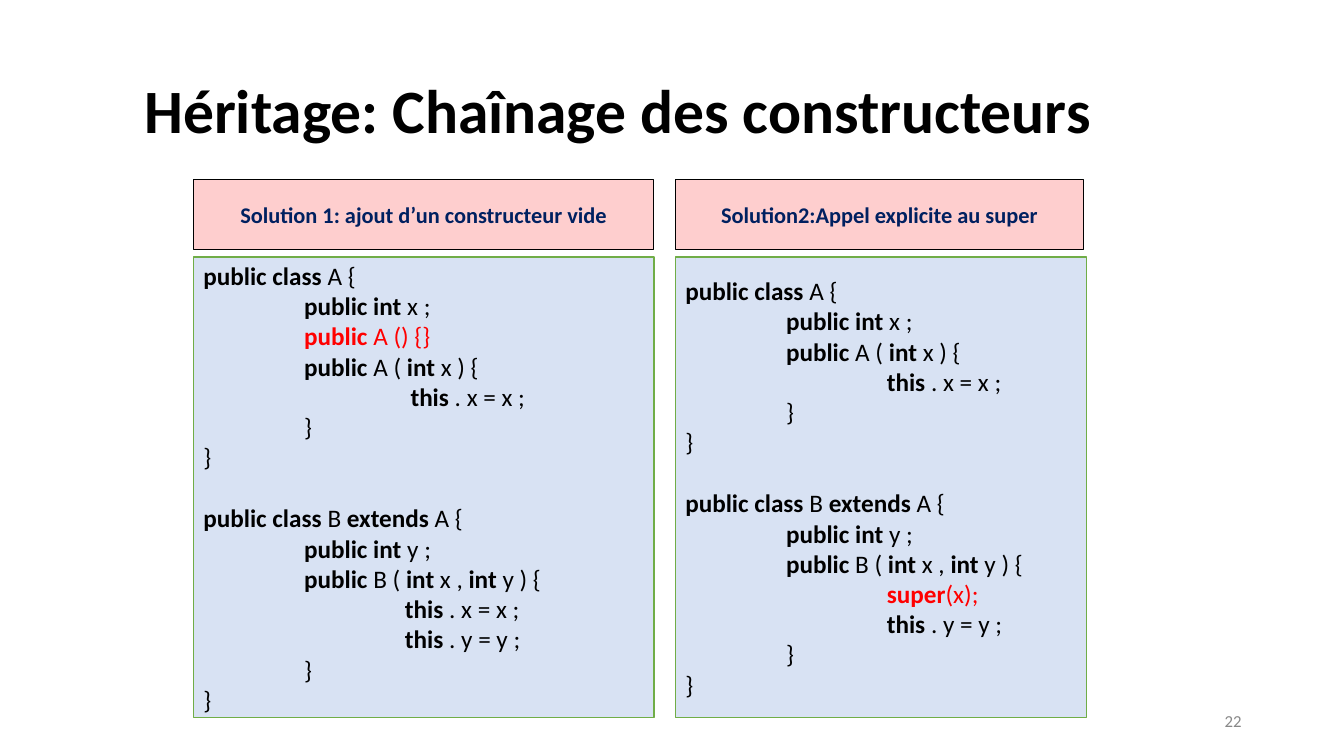
from pptx import Presentation
from pptx.dml.color import RGBColor
from pptx.enum.shapes import MSO_SHAPE
from pptx.enum.text import MSO_ANCHOR, PP_ALIGN
from pptx.util import Pt

RECT = MSO_SHAPE.RECTANGLE
TOP, MIDDLE = MSO_ANCHOR.TOP, MSO_ANCHOR.MIDDLE
LEFT, CENTER, RIGHT = PP_ALIGN.LEFT, PP_ALIGN.CENTER, PP_ALIGN.RIGHT

BLACK = RGBColor(0x00, 0x00, 0x00)
RED = RGBColor(0xFF, 0x00, 0x00)
NAVY = RGBColor(0x00, 0x20, 0x60)
GRAY = RGBColor(0x88, 0x88, 0x88)
PINK = RGBColor(0xFE, 0xCE, 0xCE)
PALE_BLUE = RGBColor(0xD8, 0xE2, 0xF3)
GREEN = RGBColor(0x70, 0xAD, 0x47)
FONT = "Calibri"

TITLE = "Héritage: Chaînage des constructeurs"
PAGE = "22"

# Each line: indent, colour, then runs alternating bold and regular
CLASS_A = (0, BLACK, "public class ", "A {")
FIELD_X = (72, BLACK, "public int ", "x ;")
MAKE_A = (72, BLACK, "public ", "A ( ", "int ", "x ) {")
CLASS_B = (0, BLACK, "public class ", "B ", "extends ", "A {")
FIELD_Y = (72, BLACK, "public int ", "y ;")
MAKE_B = (72, BLACK, "public ", "B ( ", "int ", "x , ", "int ", "y ) {")
SET_X = (144, BLACK, "this ", ". x = x ;")
SET_X_WIDE = (148, BLACK, "this ", ". x = x ;")
SET_Y = (144, BLACK, "this ", ". y = y ;")
EMPTY_A = (72, RED, "public ", "A () {}")
SUPER_X = (144, RED, "super", "(x);")
END_BODY = (72, BLACK, "", "}")
END_CLASS = (0, BLACK, "", "}")

SOLUTIONS = [
    (138.2, 329, 329, "Solution 1: ajout d’un constructeur vide",
     [CLASS_A, FIELD_X, EMPTY_A, MAKE_A, SET_X_WIDE, END_BODY, END_CLASS,
      CLASS_B, FIELD_Y, MAKE_B, SET_X, SET_Y, END_BODY, END_CLASS]),
    (482.4, 291.6, 293.8, "Solution2:Appel explicite au super",
     [CLASS_A, FIELD_X, MAKE_A, SET_X, END_BODY, END_CLASS,
      CLASS_B, FIELD_Y, MAKE_B, SUPER_X, SET_Y, END_BODY, END_CLASS]),
]
HEAD_TOP, HEAD_H = 128.2, 50.4
CODE_TOP, CODE_H = 183.6, 329
LINE_H = 22


def add_run(p, text, size, color, bold):
    r = p.add_run()
    r.text = text
    r.font.name = FONT
    r.font.size = Pt(size)
    r.font.color.rgb = color
    r.font.bold = bold


def set_frame(sp, anchor):
    tf = sp.text_frame
    tf.word_wrap = True
    tf.vertical_anchor = anchor
    return tf


def add_label(s, box, text, size, color, bold, align, anchor):
    sp = s.shapes.add_textbox(*map(Pt, box))
    p = set_frame(sp, anchor).paragraphs[0]
    p.alignment = align
    add_run(p, text, size, color, bold)
    return p


def add_box(s, box, fill, line, width):
    sp = s.shapes.add_shape(RECT, *map(Pt, box))
    sp.shadow.inherit = False
    sp.fill.solid()
    sp.fill.fore_color.rgb = fill
    sp.line.color.rgb = line
    sp.line.width = Pt(width)
    return set_frame(sp, MIDDLE)


def add_code(tf, lines):
    for i, (indent, color, *texts) in enumerate(lines):
        p = tf.paragraphs[0] if i == 0 else tf.add_paragraph()
        p.alignment = LEFT
        p._p.get_or_add_pPr().set("marL", str(Pt(indent)))
        if lines[i] is CLASS_B:
            p.space_before = Pt(LINE_H)
        for j, text in enumerate(texts):
            if text:
                add_run(p, text, 18, color, j % 2 == 0)


def main():
    prs = Presentation()
    prs.slide_width, prs.slide_height = Pt(960), Pt(540)
    s = prs.slides.add_slide(prs.slide_layouts[6])

    p = add_label(s, (96, 54, 798, 104.4), TITLE, 44, BLACK, True, LEFT, TOP)
    p.line_spacing = 0.9
    add_label(s, (678, 500.5, 216, 28.8), PAGE, 12, GRAY, False, RIGHT, MIDDLE)

    for left, head_w, code_w, heading, lines in SOLUTIONS:
        add_code(add_box(s, (left, CODE_TOP, code_w, CODE_H), PALE_BLUE, GREEN, 1), lines)
        p = add_box(s, (left, HEAD_TOP, head_w, HEAD_H), PINK, BLACK, 0.75).paragraphs[0]
        p.alignment = CENTER
        add_run(p, heading, 16, NAVY, True)

    prs.save("out.pptx")


if __name__ == "__main__":
    main()
